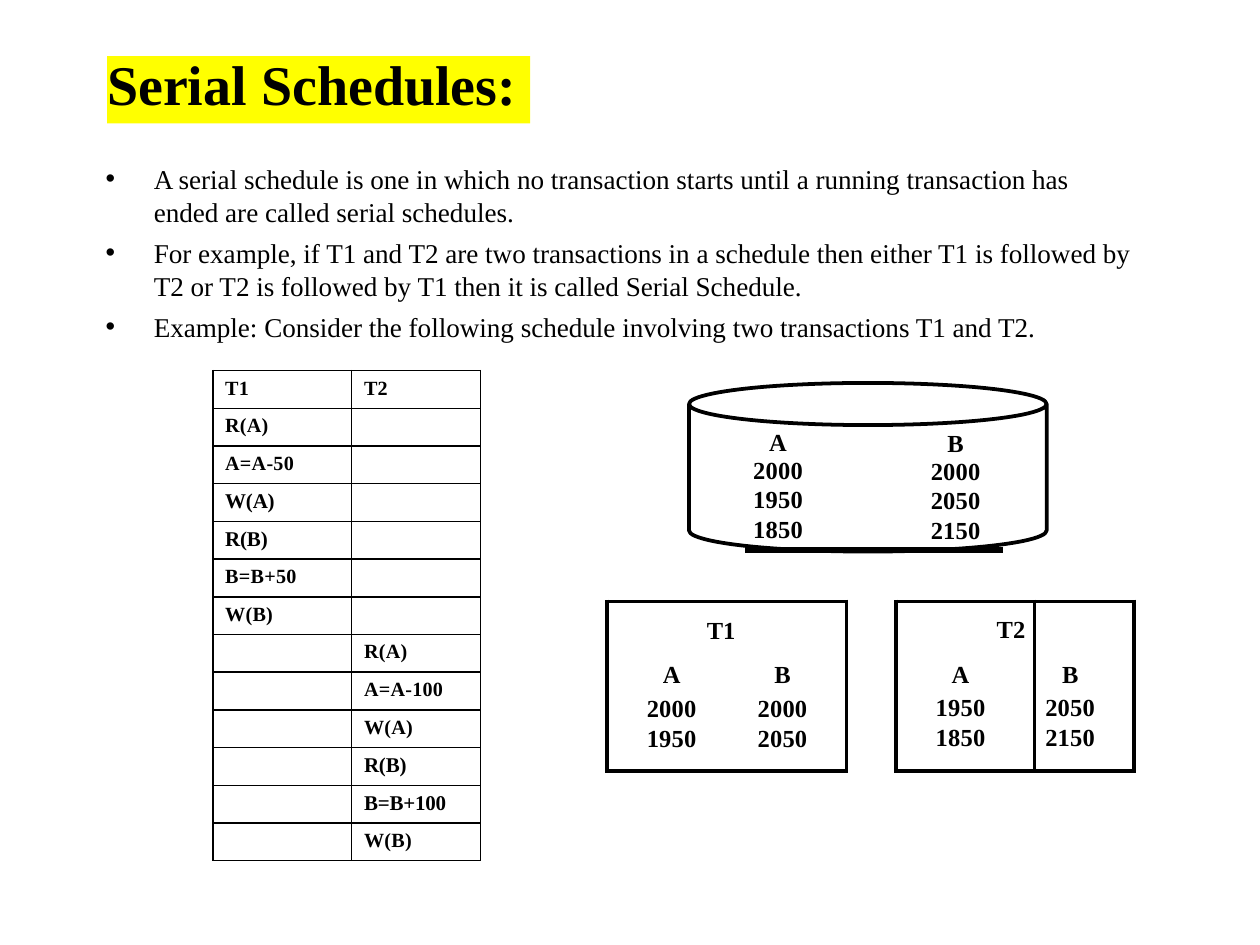
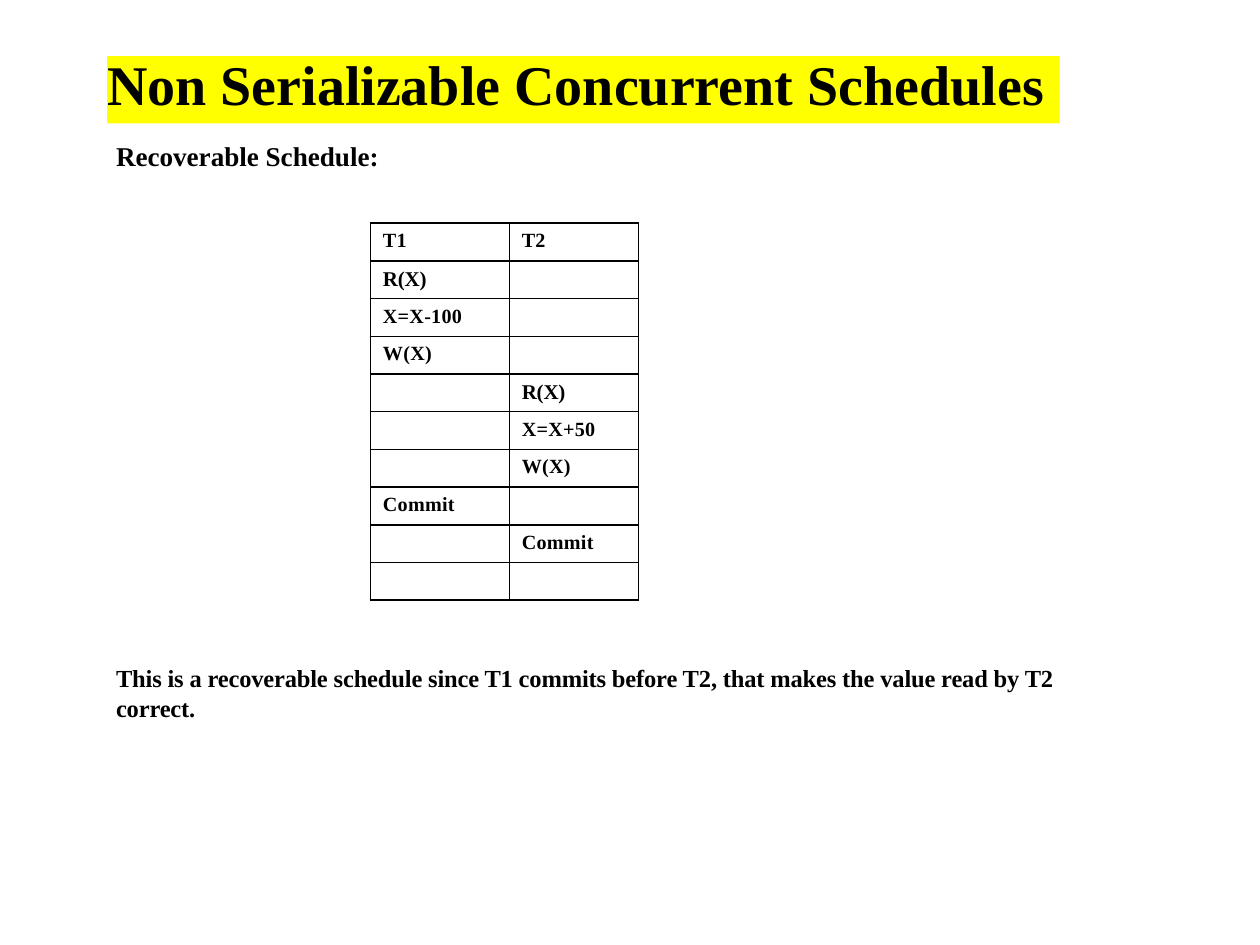
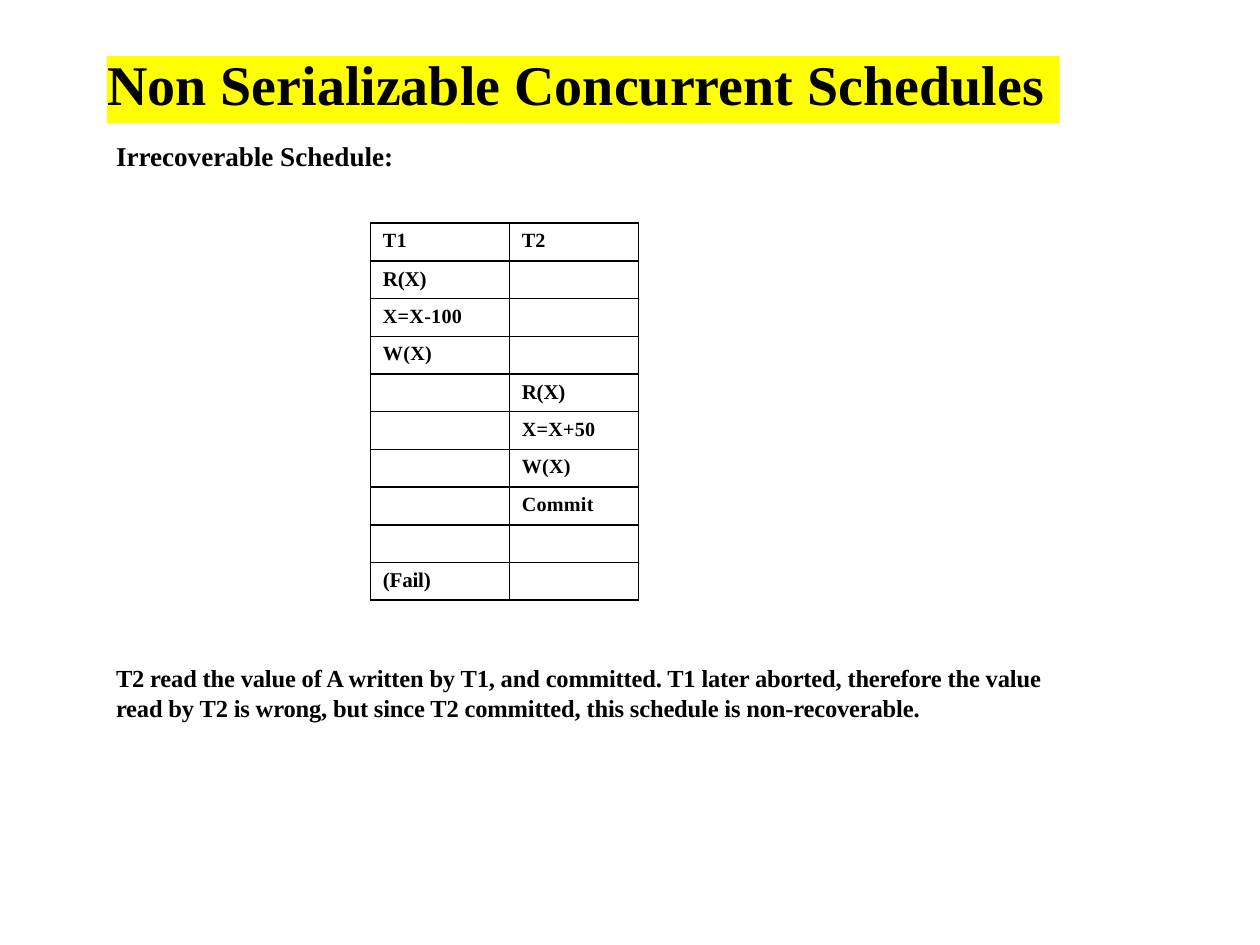
from lxml.etree import SubElement
from pptx import Presentation
from pptx.dml.color import RGBColor
from pptx.enum.shapes import MSO_SHAPE
from pptx.enum.text import MSO_ANCHOR, MSO_AUTO_SIZE, PP_ALIGN
from pptx.oxml.ns import qn
from pptx.util import Cm, Pt

FONT = "Times New Roman"
COLORS = {"ink": "000000", "title": "FFFF00"}
NO_GRID = "{2D5ABB26-0587-4C30-8999-92F81FD0307C}"

SERIAL = {
    "title": "Serial Schedules:",
    "title_width": 8.53,
    "bullets": [
        "A serial schedule is one in which no transaction starts until a running "
        "transaction has ended are called serial schedules.",
        "For example, if T1 and T2 are two transactions in a schedule then either T1 "
        "is followed by T2 or T2 is followed by T1 then it is called Serial Schedule.",
        "Example: Consider the following schedule involving two transactions T1 and T2.",
    ],
    "steps": [
        (0, "R(A)", 11.5), (0, "A=A-50", 11.5), (0, "W(A)", 12),
        (0, "R(B)", 12), (0, "B=B+50", 11.5), (0, "W(B)", 11.5),
        (1, "R(A)", 11.5), (1, "A=A-100", 11.5), (1, "W(A)", 11.5),
        (1, "R(B)", 12), (1, "B=B+100", 12), (1, "W(B)", 11.5),
    ],
}
DATABASE = [("A", "B"), ("2000", "2000"), ("1950", "2050"), ("1850", "2150")]
BUFFERS = [
    (["A"], ["T1"], ["B"], [], ["T2", "A"], ["B"]),
    (["2000"], [], ["2000"], [], ["1950"], ["2050"]),
    (["1950"], [], ["2050"], [], ["1850"], ["2150"]),
]

SHARED_STEPS = [
    (0, "R(X)", 12), (0, "X=X-100", 11.5), (0, "W(X)", 11.5),
    (1, "R(X)", 12), (1, "X=X+50", 11.5), (1, "W(X)", 11.5),
]
CONCURRENT = [
    {
        "heading": "Recoverable Schedule:",
        "steps": SHARED_STEPS + [(0, "Commit", 11.5), (1, "Commit", 11.5), (0, "", 11.5)],
        "note": "This is a recoverable schedule since T1 commits before T2, that makes "
                "the value read by T2 correct.",
    },
    {
        "heading": "Irrecoverable Schedule:",
        "steps": SHARED_STEPS + [(1, "Commit", 11.5), (0, "", 11.5), (0, "(Fail)", 12)],
        "note": "T2 read the value of A written by T1, and committed. T1 later aborted, "
                "therefore the value read by T2 is wrong, but since T2 committed, this "
                "schedule is non-recoverable.",
    },
]


def rgb(name):
    return RGBColor.from_string(COLORS[name])


def add_run(p, text, size, bold=True, spacing=0):
    r = p.add_run()
    r.text = text
    r.font.name = FONT
    r.font.size = Pt(size)
    r.font.bold = bold
    r.font.color.rgb = rgb("ink")
    if spacing:
        r._r.get_or_add_rPr().set("spc", str(spacing))


def prepare_frame(tf, top=0):
    tf.margin_left = tf.margin_right = tf.margin_bottom = 0
    tf.margin_top = Cm(top)
    tf.word_wrap = True
    tf.auto_size = MSO_AUTO_SIZE.NONE
    tf.vertical_anchor = MSO_ANCHOR.TOP


def place(sp, left, top, width, height):
    sp.left, sp.top, sp.width, sp.height = Cm(left), Cm(top), Cm(width), Cm(height)


def add_slide(prs, layout, title, width):
    s = prs.slides.add_slide(prs.slide_layouts[layout])
    sp = s.shapes.title
    place(sp, 2.16, 1.13, width, 1.36)
    sp.fill.solid()
    sp.fill.fore_color.rgb = rgb("title")
    prepare_frame(sp.text_frame)
    p = sp.text_frame.paragraphs[0]
    p.alignment = PP_ALIGN.LEFT
    p.line_spacing = Pt(34.5)
    add_run(p, title, 32)
    return s


def add_bullets(s, items):
    sp = s.placeholders[1]
    place(sp, 2.11, 3.2, 20.85, 3.74)
    tf = sp.text_frame
    prepare_frame(tf, 0.05)
    for i, item in enumerate(items):
        p = tf.paragraphs[0] if i == 0 else tf.add_paragraph()
        p.space_before = Pt(4.3 if i else 0)
        p.line_spacing = Pt(19)
        pPr = p._p.get_or_add_pPr()
        pPr.set("marL", str(Cm(0.99)))
        pPr.set("indent", str(Cm(-0.97)))
        add_run(p, item, 15.5, bold=False)


def add_text(s, text, top, height, size, leading=None, spacing=0):
    tf = s.shapes.add_textbox(Cm(2.34), Cm(top), Cm(19.3), Cm(height)).text_frame
    prepare_frame(tf, 0.05)
    p = tf.paragraphs[0]
    p.line_spacing = leading
    add_run(p, text, size, spacing=spacing)


def add_grid(s, left, top, columns, rows):
    gf = s.shapes.add_table(len(rows), len(columns), Cm(left), Cm(top),
                            Cm(sum(columns)), Cm(sum(rows)))
    table = gf.table
    table.first_row = table.horz_banding = False
    table._tbl.tblPr.find(qn("a:tableStyleId")).text = NO_GRID
    for column, width in zip(table.columns, columns):
        column.width = Cm(width)
    for row, height in zip(table.rows, rows):
        row.height = Cm(height)
    return table


def format_cell(cell, lines, size, sides="", line_width=1.0, margins=(0, 0, 0, 0),
                align=PP_ALIGN.LEFT, leading=None, spacing=0):
    cell.margin_left, cell.margin_top, cell.margin_right, cell.margin_bottom = map(Cm, margins)
    tcPr = cell._tc.get_or_add_tcPr()
    for side in sides:
        ln = SubElement(tcPr, qn("a:ln" + side), w=str(Pt(line_width)))
        SubElement(SubElement(ln, qn("a:solidFill")), qn("a:srgbClr"), val=COLORS["ink"])
    cell.fill.background()
    tf = cell.text_frame
    for i, line in enumerate(lines):
        p = tf.paragraphs[0] if i == 0 else tf.add_paragraph()
        p.alignment = align
        p.line_spacing = leading
        add_run(p, line, size, spacing=spacing)
    if not lines:
        SubElement(tf.paragraphs[0]._p, qn("a:endParaRPr"), sz=str(int(size * 100)))


def add_schedule(s, steps, left, top):
    rows = [(("T1", 11.5), ("T2", 11.5))]
    for column, text, size in steps:
        rows.append([(text if c == column else "", size) for c in range(2)])
    table = add_grid(s, left, top, [2.8, 2.6], [0.76] * len(rows))
    for i, row in enumerate(rows):
        for c, (text, size) in enumerate(row):
            format_cell(table.cell(i, c), [text] if text else [], size, "LRTB",
                        margins=(0.25, 0.13, 0, 0), spacing=15 if size < 12 else -10)


def add_database(s):
    table = add_grid(s, 15.01, 8.66, [2.44, 2.77], [0.58, 0.58, 0.61, 0.66])
    margins = [(0, 0, 1.09, 0), (0.86, 0, 0, 0)]
    leadings = [Pt(15.3), Pt(15.9)]
    last = len(DATABASE) - 1
    for i, row in enumerate(DATABASE):
        for c, text in enumerate(row):
            format_cell(table.cell(i, c), [text], 14, "B" if i == last else "", 4.25,
                        margins[c], PP_ALIGN.CENTER, leadings[c], 10 if i else 0)
    sp = s.shapes.add_shape(MSO_SHAPE.CAN, Cm(13.89), Cm(7.72), Cm(7.21), Cm(3.4))
    sp.shadow.inherit = False
    sp.fill.background()
    sp.line.color.rgb = rgb("ink")
    sp.line.width = Pt(2.16)


def add_buffers(s):
    columns = [1.91, 0.89, 2.03, 0.99, 2.79, 2.01]
    table = add_grid(s, 12.24, 12.12, columns, [1.88, 0.58, 0.94])
    side_margins = [(0.69, 0), (0.1, 0), (0, 0.56), (0, 0), (0, 0.18), (0, 0.56)]
    gap, last = 3, len(BUFFERS) - 1
    for i, row in enumerate(BUFFERS):
        for c, lines in enumerate(row):
            sides = ""
            if c != gap:
                sides = (("L" if c in (0, 4) else "") + ("R" if c in (2, 4, 5) else "")
                         + ("T" if i == 0 else "") + ("B" if i == last else ""))
            left, right = side_margins[c]
            bottom = 0 if i else 1.01 if lines == ["T1"] else 0.11
            cell = table.cell(i, c)
            format_cell(cell, lines, 14, sides, 2.25, (left, 0, right, bottom),
                        PP_ALIGN.LEFT if c == 1 else PP_ALIGN.CENTER,
                        Pt(16 if c < gap else 15.5), 10 if i else 0)
            if i == 0:
                cell.vertical_anchor = MSO_ANCHOR.BOTTOM
            if len(lines) > 1:
                header, name = cell.text_frame.paragraphs
                header.alignment = PP_ALIGN.RIGHT
                name.space_before = Pt(10.1)


def main():
    prs = Presentation()
    prs.slide_width, prs.slide_height = Cm(25.4), Cm(19.05)

    s = add_slide(prs, 1, SERIAL["title"], SERIAL["title_width"])
    add_bullets(s, SERIAL["bullets"])
    add_schedule(s, SERIAL["steps"], 4.29, 7.47)
    add_database(s)
    add_buffers(s)

    for content in CONCURRENT:
        s = add_slide(prs, 5, "Non Serializable Concurrent Schedules", 19.2)
        add_text(s, content["heading"], 2.77, 0.74, 15.5)
        add_text(s, content["note"], 13.31, 1.27, 14, Pt(17), -10)
        add_schedule(s, content["steps"], 7.47, 4.5)

    prs.save("out.pptx")


if __name__ == "__main__":
    main()
